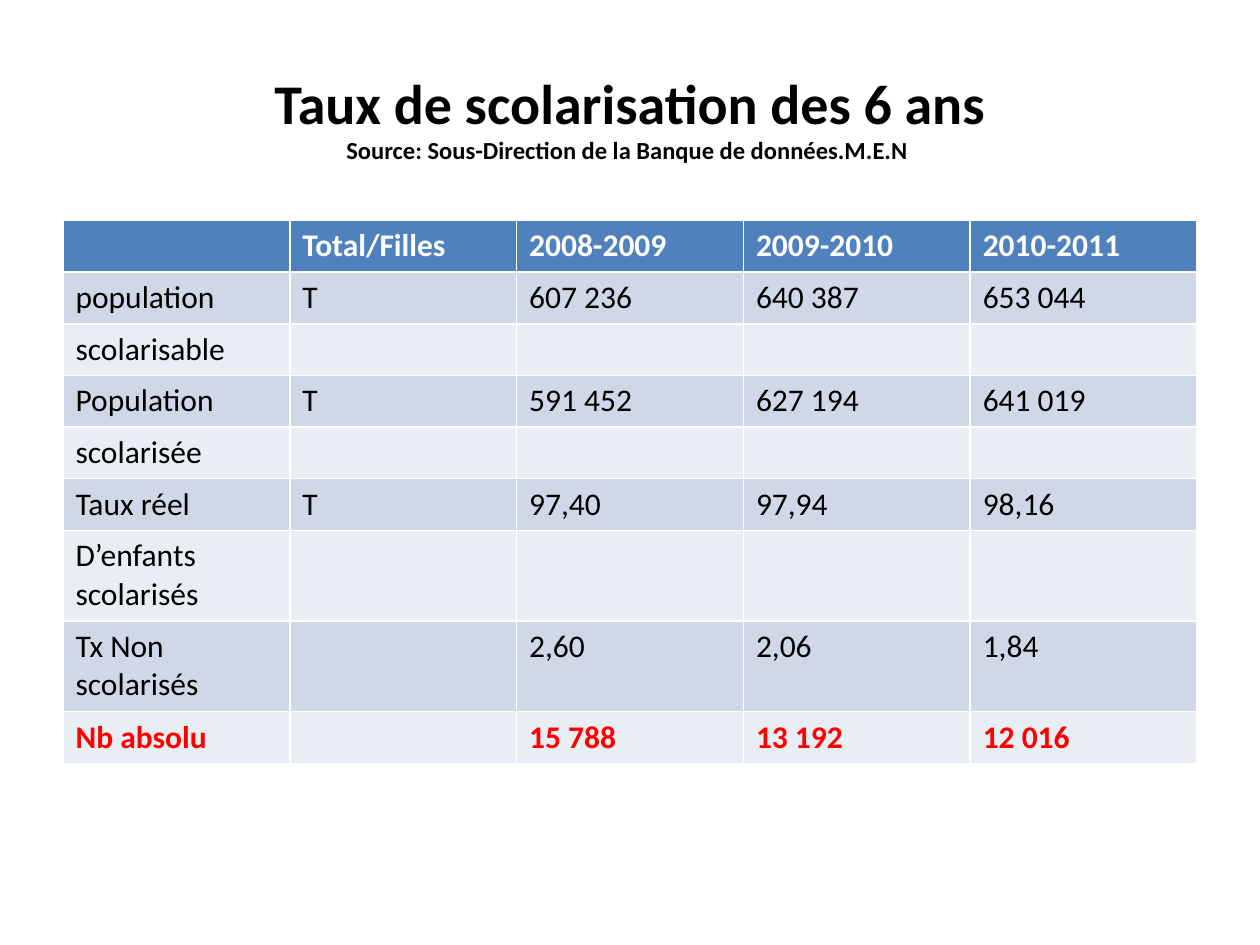
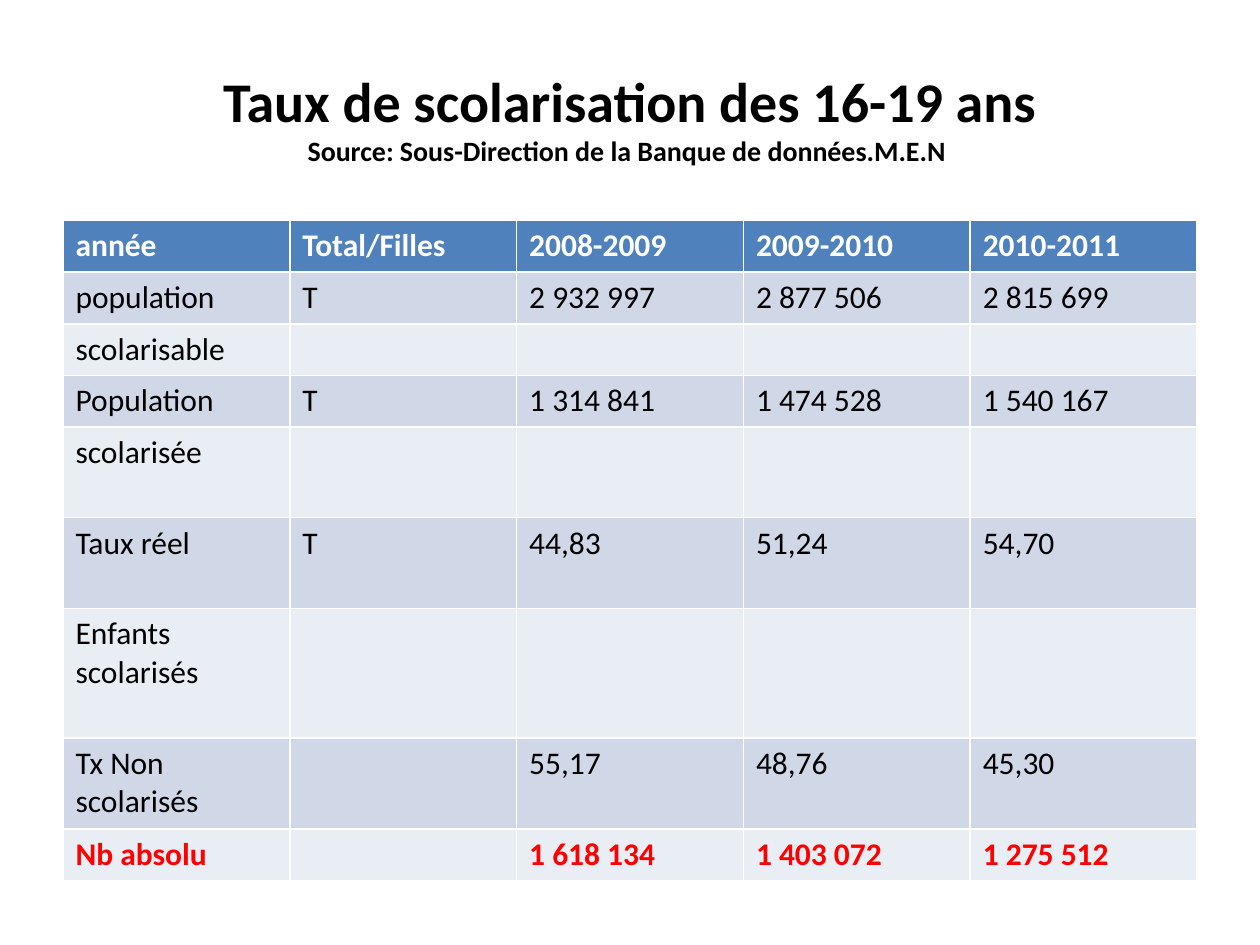
"""Build two slides of school enrolment rates by age group."""
from lxml.etree import SubElement
from pptx import Presentation
from pptx.dml.color import RGBColor
from pptx.enum.text import MSO_ANCHOR, MSO_AUTO_SIZE, PP_ALIGN
from pptx.oxml.ns import qn
from pptx.util import Inches, Pt

SOURCE = "Source: Sous-Direction de la Banque de données.M.E.N "
YEARS = ("2008-2009", "2009-2010", "2010-2011")
NO_FIGURES = ("", "", "")
AGE_GROUPS = [
    {
        "title": "Taux de scolarisation des 6 ans",
        "source_size": 14,
        "corner": "",
        "rows": [
            ("population", "T", ("607 236", "640 387", "653 044"), 1),
            ("scolarisable", "", NO_FIGURES, 1),
            ("Population", "T", ("591 452", "627 194", "641 019"), 1),
            ("scolarisée", "", NO_FIGURES, 1),
            ("Taux réel", "T", ("97,40", "97,94", "98,16"), 1),
            ("D’enfants scolarisés", "", NO_FIGURES, 2),
            ("Tx Non scolarisés", "", ("2,60", "2,06", "1,84"), 2),
            ("Nb absolu", "", ("15 788", "13 192", "12 016"), 1),
        ],
    },
    {
        "title": "Taux de scolarisation des 16-19 ans",
        "source_size": 16,
        "corner": "année",
        "rows": [
            ("population", "T", ("2 932 997", "2 877 506", "2 815 699"), 1),
            ("scolarisable", "", NO_FIGURES, 1),
            ("Population", "T", ("1 314 841", "1 474 528", "1 540 167"), 1),
            ("scolarisée", "", NO_FIGURES, 2),
            ("Taux réel", "T", ("44,83", "51,24", "54,70"), 2),
            ("Enfants scolarisés", "", NO_FIGURES, 3),
            ("Tx Non scolarisés", "", ("55,17", "48,76", "45,30"), 2),
            ("Nb absolu", "", ("1 618 134", "1 403 072", "1 275 512"), 1),
        ],
    },
]

FONT = "Calibri"
BLACK = RGBColor(0x00, 0x00, 0x00)
WHITE = RGBColor(0xFF, 0xFF, 0xFF)
RED = RGBColor(0xFF, 0x00, 0x00)
HEADER_BLUE = RGBColor(0x4F, 0x81, 0xBD)
BANDS = (RGBColor(0xE9, 0xED, 0xF4), RGBColor(0xD0, 0xD8, 0xE8))

LEFT, WIDTH = 0.5, 9
TITLE_TOP, TITLE_HEIGHT, TITLE_SIZE = 0.3, 1.25, 32
TABLE_TOP, TABLE_SIZE = 1.75, 18
LINE_HEIGHT, CELL_PADDING = 0.31, 0.1


def style_run(run, size, color, bold):
    run.font.name = FONT
    run.font.size = Pt(size)
    run.font.bold = bold
    run.font.color.rgb = color


def add_title(slide, heading, source_size):
    title = slide.shapes.title
    title.left, title.top = Inches(LEFT), Inches(TITLE_TOP)
    title.width, title.height = Inches(WIDTH), Inches(TITLE_HEIGHT)
    frame = title.text_frame
    frame.text = f"{heading}\v{SOURCE}"
    frame.auto_size = MSO_AUTO_SIZE.NONE
    frame.vertical_anchor = MSO_ANCHOR.MIDDLE
    paragraph = frame.paragraphs[0]
    paragraph.alignment = PP_ALIGN.CENTER
    for run, size in zip(paragraph.runs, (TITLE_SIZE, source_size)):
        style_run(run, size, BLACK, True)
    line_break = paragraph._p.find(qn("a:br"))
    SubElement(line_break, qn("a:rPr"), sz=str(TITLE_SIZE * 100))


def row_style(index, last):
    if index == 0:
        return HEADER_BLUE, WHITE, True
    if index == last:
        return BANDS[index % 2], RED, True
    return BANDS[index % 2], BLACK, False


def add_rates(slide, corner, rows):
    rows = [(corner, "Total/Filles", YEARS, 1), *rows]
    heights = [lines * LINE_HEIGHT + CELL_PADDING for *_, lines in rows]
    columns = 2 + len(YEARS)
    table = slide.shapes.add_table(
        len(rows), columns, Inches(LEFT), Inches(TABLE_TOP),
        Inches(WIDTH), Inches(sum(heights))).table
    for column in table.columns:
        column.width = Inches(WIDTH / columns)
    for index, (label, scope, figures, _) in enumerate(rows):
        table.rows[index].height = Inches(heights[index])
        fill, color, bold = row_style(index, len(rows) - 1)
        for cell, text in zip(table.rows[index].cells, (label, scope, *figures)):
            cell.fill.solid()
            cell.fill.fore_color.rgb = fill
            if text:
                cell.text_frame.text = text
                style_run(cell.text_frame.paragraphs[0].runs[0],
                          TABLE_SIZE, color, bold)


def main():
    deck = Presentation()
    deck.slide_width, deck.slide_height = Inches(10), Inches(7.5)
    for group in AGE_GROUPS:
        slide = deck.slides.add_slide(deck.slide_layouts[5])
        add_title(slide, group["title"], group["source_size"])
        add_rates(slide, group["corner"], group["rows"])
    deck.save("out.pptx")


if __name__ == "__main__":
    main()
